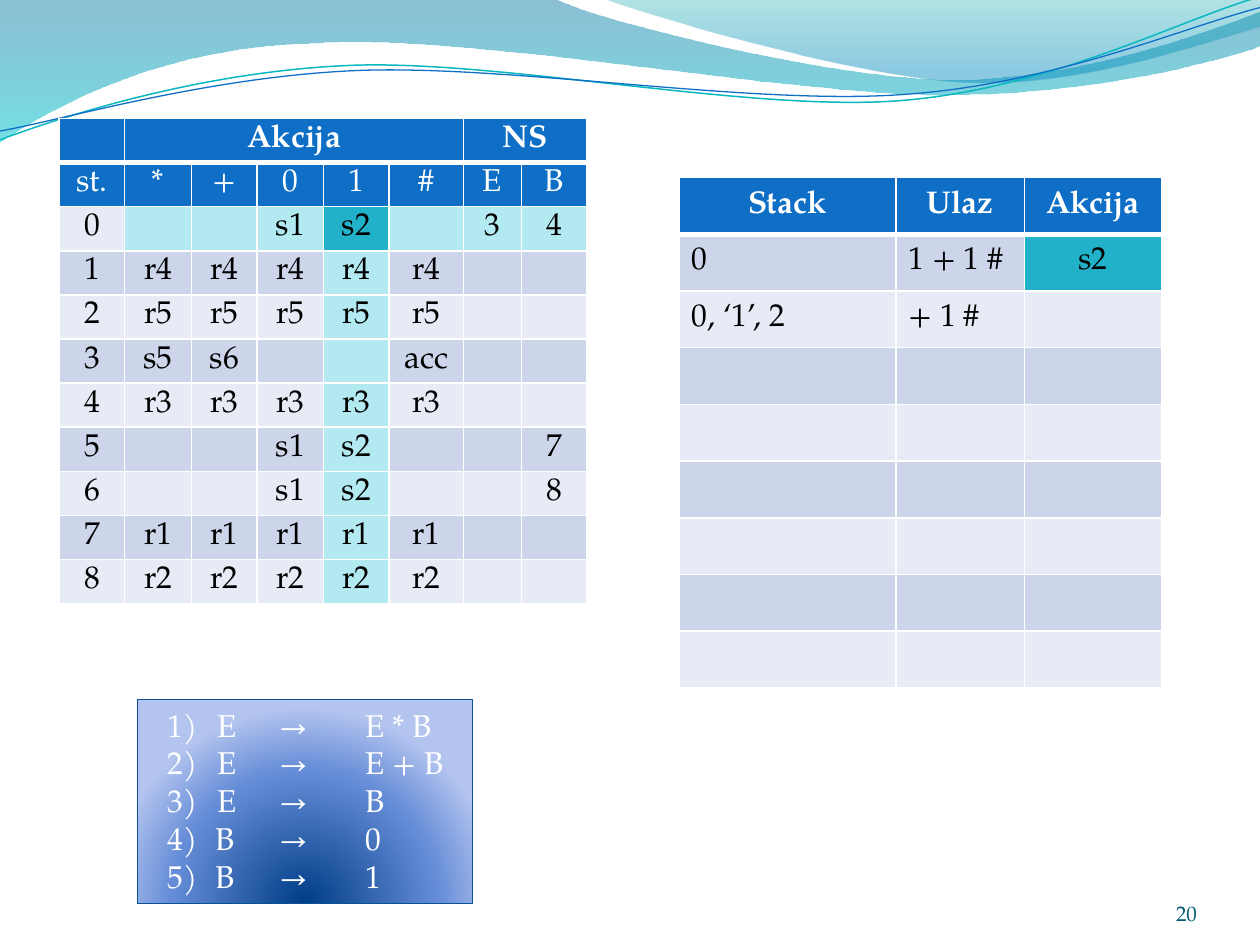
from math import cos, radians, sin

from lxml import etree
from pptx import Presentation
from pptx.dml.color import RGBColor
from pptx.enum.shapes import MSO_SHAPE
from pptx.enum.text import MSO_ANCHOR as ANCHOR, MSO_AUTO_SIZE as AUTO_SIZE, PP_ALIGN as ALIGN
from pptx.oxml import parse_xml
from pptx.oxml.ns import nsdecls, qn
from pptx.util import Inches, Pt

FONT = "TeX Gyre Pagella"
COLORS = {
    "white": "FFFFFF", "text": "000000", "header": "0F6FC6", "light": "E7EBF5",
    "dark": "CCD5EA", "lookup": "B3EAF2", "match": "21B2C9", "number": "045D75",
    "aqua": "0AB8BF", "blue": "0F6FC6", "rule_edge": "095295",
    "wave_top": "0074A1", "wave_end": "00C6CF", "crest_top": "00A1A9",
    "crest_end": "008BBF", "rule_core": "003D87", "rule_mid": "668DD7", "rule_rim": "B3C4EF",
}
WAVE = [(0, 0), (4.4, -0.01),
        (4.76, 0.17, 6.64, 0.63, 7.58, 0.63), (8.53, 0.63, 9.58, 0.26, 10, 0.09),
        (10.01, 0.36), (9.83, 0.44, 8.7, 0.76, 7.46, 0.75),
        (6.22, 0.75, 3.82, 0.28, 2.57, 0.34), (1.29, 0.36, 0.46, 0.83, -0.01, 1.13)]
CREST = [(4.79, -0.01), (5.09, 0.11, 6.82, 0.62, 7.69, 0.65),
         (8.56, 0.69, 9.61, 0.32, 10, 0.21), (10, 0)]
AQUA_LINE = [(0, 1.11), (0.48, 0.93, 1.58, 0.57, 2.77, 0.52),
             (3.95, 0.47, 5.93, 0.89, 7.13, 0.8), (8.33, 0.71, 9.38, 0.15, 9.98, -0.02)]
BLUE_LINE = [(0, 1.04), (0.47, 0.96, 1.64, 0.61, 2.83, 0.56),
             (4.03, 0.51, 5.97, 0.84, 7.17, 0.75), (8.36, 0.67, 9.41, 0.21, 10, 0.06)]
PARSE_ROWS = [
    ["", "Akcija", "", "", "", "", "NS", ""],
    ["st.", "*", "+", "0", "1", "#", "E", "B"],
    ["0", "", "", "s1", "s2", "", "3", "4"],
    ["1"] + ["r4"] * 5 + ["", ""],
    ["2"] + ["r5"] * 5 + ["", ""],
    ["3", "s5", "s6", "", "", "acc", "", ""],
    ["4"] + ["r3"] * 5 + ["", ""],
    ["5", "", "", "s1", "s2", "", "", "7"],
    ["6", "", "", "s1", "s2", "", "", "8"],
    ["7"] + ["r1"] * 5 + ["", ""],
    ["8"] + ["r2"] * 5 + ["", ""],
]
TRACE_ROWS = [["Stack", "Ulaz", "Akcija"], ["0", "1 + 1 #", "s2"],
              ["0, ‘1’, 2", "+ 1 #", ""]] + [[""] * 3] * 6


def rgb(name):
    return RGBColor.from_string(COLORS[name])


def style_font(paragraph, size, color, bold=False):
    for run in paragraph.runs:
        font = run.font
        font.name, font.size, font.bold = FONT, Pt(size), bold
        font.color.rgb = rgb(color)


def set_gradient(shape, stops, direction):
    shape.fill.solid()
    stop_xml = "".join(
        f'<a:gs pos="{pos * 1000}"><a:srgbClr val="{COLORS[color]}">'
        f'<a:alpha val="{alpha * 1000}"/></a:srgbClr></a:gs>' for pos, color, alpha in stops)
    gradient = parse_xml(f'<a:gradFill {nsdecls("a")} rotWithShape="1">'
                         f'<a:gsLst>{stop_xml}</a:gsLst>{direction}</a:gradFill>')
    properties = shape._element.spPr
    properties.replace(properties.find(qn("a:solidFill")), gradient)


def add_curve(slide, segments, frame, closed, rotation=0):
    left, top, width, height = frame
    mid_x, mid_y = left + width / 2, top + height / 2
    turn = radians(-rotation)

    def to_local(x, y):
        dx, dy = x - mid_x, y - mid_y
        return (Inches(dx * cos(turn) - dy * sin(turn) + width / 2),
                Inches(dx * sin(turn) + dy * cos(turn) + height / 2))

    anchors = [(Inches(segment[-2]), Inches(segment[-1])) for segment in segments]
    builder = slide.shapes.build_freeform(*anchors[0])
    builder.add_line_segments(anchors[1:], close=closed)
    curve = builder.convert_to_shape()
    curve.left, curve.top, curve.width, curve.height = map(Inches, frame)
    curve.rotation = rotation
    curve.shadow.inherit = False
    outline = next(curve._element.iter(qn("a:path")))
    outline.set("w", str(curve.width))
    outline.set("h", str(curve.height))
    for step, segment in zip(list(outline), segments):
        if len(segment) == 6:
            bend = etree.Element(qn("a:cubicBezTo"))
            outline.replace(step, bend)
            step = bend
        for point in list(step):
            step.remove(point)
        for i in range(0, len(segment), 2):
            x, y = to_local(*segment[i:i + 2])
            etree.SubElement(step, qn("a:pt"), x=str(x), y=str(y))
    return curve


def add_wave(slide, segments, frame, stops):
    wave = add_curve(slide, segments, frame, True)
    wave.line.fill.background()
    set_gradient(wave, stops, '<a:lin ang="5400000" scaled="0"/>')


def add_ribbon(slide, segments, frame, color, width):
    ribbon = add_curve(slide, segments, frame, False, -2.7)
    ribbon.fill.background()
    ribbon.line.color.rgb = rgb(color)
    ribbon.line.width = Pt(width)


def set_borders(cell, row):
    widths = {"lnL": 1, "lnR": 1, "lnT": 3 if row == 1 else 1, "lnB": 3 if row == 0 else 1}
    for index, (side, width) in enumerate(widths.items()):
        cell._tc.get_or_add_tcPr().insert(index, parse_xml(
            f'<a:{side} {nsdecls("a")} w="{Pt(width)}"><a:solidFill>'
            f'<a:srgbClr val="{COLORS["white"]}"/></a:solidFill></a:{side}>'))


def add_grid(slide, rows, left, top, widths, height, margin, header_rows, fill_for, align_for):
    frame = slide.shapes.add_table(len(rows), len(widths), Inches(left), Inches(top),
                                   Inches(sum(widths)), Inches(height * len(rows)))
    grid = frame.table
    for column, width in zip(grid.columns, widths):
        column.width = Inches(width)
    for r, texts in enumerate(rows):
        grid.rows[r].height = Inches(height)
        for c, text in enumerate(texts):
            cell = grid.cell(r, c)
            cell.text = text
            cell.vertical_anchor = ANCHOR.MIDDLE
            cell.margin_top = cell.margin_bottom = Inches(margin)
            cell.fill.solid()
            cell.fill.fore_color.rgb = rgb(fill_for(r, c))
            set_borders(cell, r)
            paragraph = cell.text_frame.paragraphs[0]
            paragraph.alignment = align_for(r, c)
            style_font(paragraph, 18, "white" if r < header_rows else "text", r == 0)
    return grid


def parse_fill(r, c):
    if r < 2:
        return "header"
    if (r, c) == (2, 4):
        return "match"
    if c == 4 or (r == 2 and c > 0):
        return "lookup"
    return "dark" if r % 2 else "light"


def trace_fill(r, c):
    if r == 0:
        return "header"
    if (r, c) == (1, 2):
        return "match"
    return "dark" if r % 2 else "light"


def add_grammar(slide):
    grammar = slide.shapes.add_shape(MSO_SHAPE.RECTANGLE, Inches(1.09), Inches(5.55),
                                     Inches(2.66), Inches(1.62))
    grammar.shadow.inherit = False
    set_gradient(grammar, [(0, "rule_core", 100), (68, "rule_mid", 100), (100, "rule_rim", 100)],
                 '<a:path path="circle"><a:fillToRect l="50000" t="130000" r="50000" '
                 'b="-30000"/></a:path>')
    grammar.line.color.rgb = rgb("rule_edge")
    grammar.line.width = Pt(0.75)
    frame = grammar.text_frame
    frame.word_wrap = True
    frame.auto_size = AUTO_SIZE.SHAPE_TO_FIT_TEXT
    frame.vertical_anchor = ANCHOR.TOP
    frame.margin_left = Inches(0.24)
    rules = ["1)\tE\t→\tE * B\v2)\tE\t→\tE + B\v3)\tE\t→\tB", "B\t→\t0", "B\t→\t1"]
    for index, rule in enumerate(rules):
        paragraph = frame.add_paragraph() if index else frame.paragraphs[0]
        paragraph.text = rule
        paragraph.alignment = ALIGN.LEFT
        properties = paragraph._p.get_or_add_pPr()
        if index:
            properties.set("marL", str(Inches(0.38)))
            properties.set("indent", str(-Inches(0.38)))
            etree.SubElement(properties, qn("a:buAutoNum"), type="arabicParenR", startAt="4")
        tabs = etree.SubElement(properties, qn("a:tabLst"))
        for position in (0.4, 0.89, 1.57):
            etree.SubElement(tabs, qn("a:tab"), pos=str(Inches(position)), algn="l")
        style_font(paragraph, 18, "white")


def add_page_number(slide, number):
    frame = slide.shapes.add_textbox(Inches(8.67), Inches(6.95),
                                     Inches(0.83), Inches(0.4)).text_frame
    frame.word_wrap = True
    frame.vertical_anchor = ANCHOR.BOTTOM
    frame.margin_left = frame.margin_right = frame.margin_top = frame.margin_bottom = 0
    frame.text = number
    frame.paragraphs[0].alignment = ALIGN.RIGHT
    style_font(frame.paragraphs[0], 12, "number")


def main():
    """Build the slide that steps through an LR parse."""
    deck = Presentation()
    deck.slide_width, deck.slide_height = Inches(10), Inches(7.5)
    slide = deck.slides.add_slide(deck.slide_layouts[6])
    add_wave(slide, WAVE, (-0.01, -0.01, 10.02, 1.14), [(0, "wave_top", 45), (100, "wave_end", 55)])
    add_wave(slide, CREST, (4.79, -0.01, 5.21, 0.7), [(0, "crest_top", 30), (80, "crest_end", 45)])
    add_ribbon(slide, AQUA_LINE, (-0.02, 0.22, 10.02, 0.71), "aqua", 0.85)
    add_ribbon(slide, BLUE_LINE, (-0.02, 0.3, 10.03, 0.58), "blue", 0.75)
    parse_table = add_grid(slide, PARSE_ROWS, 0.47, 0.94, [0.52, 0.53] * 2 + [0.52, 0.59, 0.46, 0.52],
                           0.35, 0.02, 2, parse_fill, lambda r, c: ALIGN.CENTER)
    for first, last in ((1, 5), (6, 7)):
        parse_table.cell(0, first).merge(parse_table.cell(0, last))
    add_page_number(slide, "20")
    add_grammar(slide)
    add_grid(slide, TRACE_ROWS, 5.39, 1.41, [1.72, 1.02, 1.09], 0.45, 0.05, 1, trace_fill,
             lambda r, c: ALIGN.CENTER if r == 0 or c == 2 else ALIGN.LEFT)
    deck.save("out.pptx")


if __name__ == "__main__":
    main()
